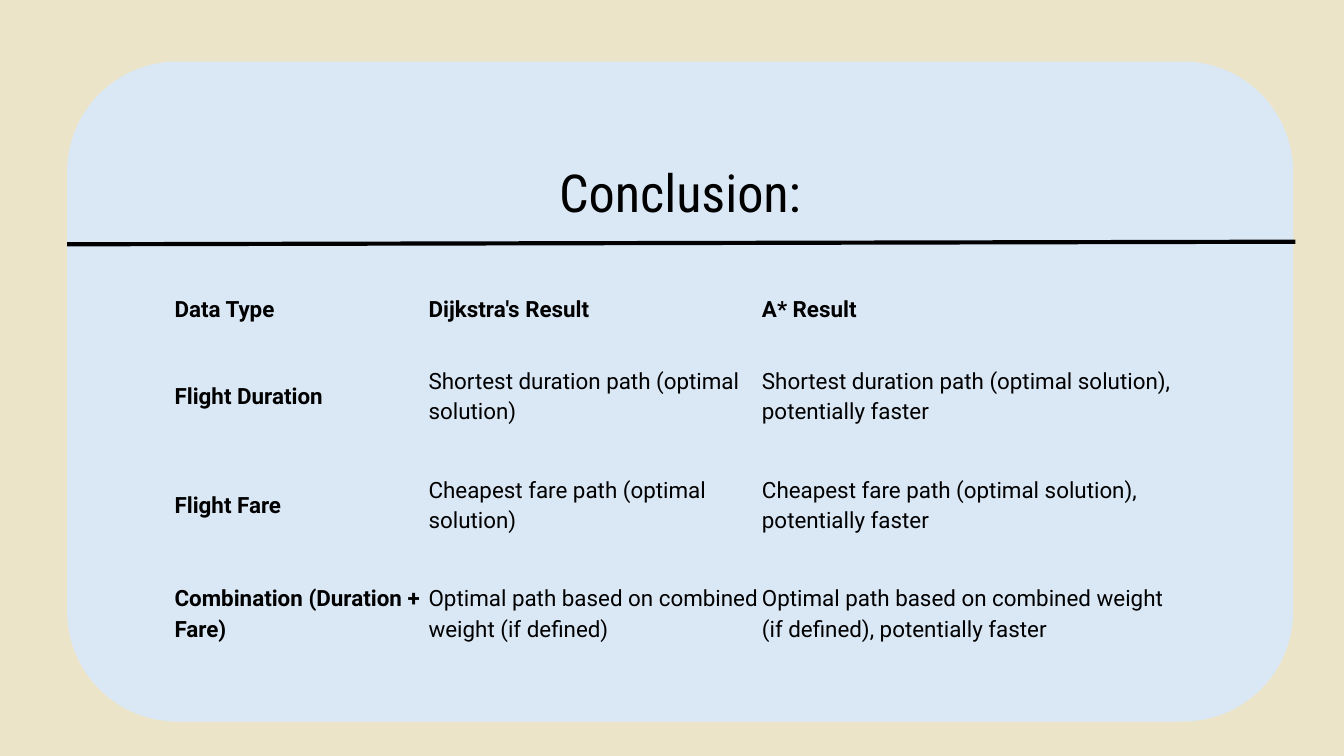
import pptx
import pptx.util
import pptx.dml.color
import pptx.enum.shapes
import pptx.enum.text
import pptx.oxml
import pptx.oxml.ns
from dataclasses import dataclass

Pt = pptx.util.Pt
Anchor = pptx.enum.text.MSO_ANCHOR
Align = pptx.enum.text.PP_ALIGN


@dataclass(frozen=True)
class Theme:
    background: str = "ECE4C9"
    panel: str = "DAE7F5"
    ink: str = "000000"
    title_font: str = "Roboto Condensed"
    body_font: str = "Roboto"
    title_size: float = 28
    body_size: float = 12


def apply(target, values):
    for name, value in values.items():
        setattr(target, name, value)


def rgb(value):
    return pptx.dml.color.RGBColor.from_string(value)


class SlideBuilder:
    def __init__(self, page, theme):
        self.page = page
        self.theme = theme
        page.background.fill.solid()
        page.background.fill.fore_color.rgb = rgb(theme.background)

    def add_text(self, frame, text, font, layout):
        para = frame.paragraphs[0]
        apply(para, layout)
        span = para.add_run()
        span.text = text
        apply(span.font, font)
        span.font.color.rgb = rgb(self.theme.ink)

    def panel(self, left, top, width, height, rounding):
        shape = self.page.shapes.add_shape(
            pptx.enum.shapes.MSO_SHAPE.ROUNDED_RECTANGLE,
            Pt(left), Pt(top), Pt(width), Pt(height))
        shape.adjustments[0] = rounding
        shape.shadow.inherit = False
        shape.fill.solid()
        shape.fill.fore_color.rgb = rgb(self.theme.panel)
        shape.line.fill.background()

    def title(self, text, left, top, width, height):
        box = self.page.shapes.add_textbox(Pt(left), Pt(top), Pt(width), Pt(height))
        inset = Pt(7.2)
        apply(box.text_frame, {
            "word_wrap": True, "vertical_anchor": Anchor.TOP,
            "margin_left": inset, "margin_right": inset,
            "margin_top": inset, "margin_bottom": inset})
        font = {"name": self.theme.title_font, "size": Pt(self.theme.title_size)}
        self.add_text(box.text_frame, text, font, {"alignment": Align.CENTER})

    def rule(self, x1, y1, x2, y2, weight):
        line = self.page.shapes.add_connector(
            pptx.enum.shapes.MSO_CONNECTOR.STRAIGHT, Pt(x1), Pt(y1), Pt(x2), Pt(y2))
        line.line.color.rgb = rgb(self.theme.ink)
        line.line.width = Pt(weight)
        line._element.spPr.append(self.element("effectLst"))

    def element(self, tag):
        return pptx.oxml.parse_xml(f"<a:{tag} {pptx.oxml.ns.nsdecls('a')}/>")

    def clear_cell(self, cell):
        cell.fill.background()
        properties = cell._tc.get_or_add_tcPr()
        for position, side in enumerate(("lnL", "lnR", "lnT", "lnB")):
            border = self.element(side)
            border.append(self.element("noFill"))
            properties.insert(position, border)

    def table(self, rows, left, top, widths, heights):
        frame = self.page.shapes.add_table(
            len(rows), len(widths), Pt(left), Pt(top), Pt(sum(widths)), Pt(sum(heights)))
        table = frame.table
        apply(table, {"first_row": False, "horz_banding": False})
        for column, width in zip(table.columns, widths):
            column.width = Pt(width)
        for row, height in zip(table.rows, heights):
            row.height = Pt(height)

        inset = Pt(0.72)
        cell_format = {
            "vertical_anchor": Anchor.MIDDLE,
            "margin_left": inset, "margin_right": inset,
            "margin_top": inset, "margin_bottom": inset}
        layout = {"alignment": Align.LEFT, "line_spacing": 1.16, "space_after": Pt(8)}
        for r, texts in enumerate(rows):
            for c, text in enumerate(texts):
                cell = table.cell(r, c)
                self.clear_cell(cell)
                apply(cell, cell_format)
                font = {"name": self.theme.body_font, "size": Pt(self.theme.body_size),
                        "bold": r == 0 or c == 0}
                self.add_text(cell.text_frame, text, font, layout)


def main():
    deck = pptx.Presentation()
    apply(deck, {"slide_width": Pt(720), "slide_height": Pt(405)})
    builder = SlideBuilder(deck.slides.add_slide(deck.slide_layouts[6]), Theme())

    # Panel with title and dividing line
    builder.panel(36, 33, 656.8, 353.6, 0.167)
    builder.title("Conclusion:", 162, 78.5, 404.6, 26.6)
    builder.rule(36, 130.9, 694, 129.5, 2.25)

    # Comparison of the two algorithms
    results = [
        ("Flight Duration", "Shortest duration path (optimal solution)"),
        ("Flight Fare", "Cheapest fare path (optimal solution)"),
        ("Combination (Duration + Fare)",
         "Optimal path based on combined weight (if defined)"),
    ]
    rows = [("Data Type", "Dijkstra's Result", "A* Result")]
    rows += [(kind, result, f"{result}, potentially faster") for kind, result in results]
    builder.table(rows, 92.8, 147, [136.1, 178.6, 230.4], [35.3] + [58.3] * 3)

    deck.save("out.pptx")


if __name__ == "__main__":
    main()
